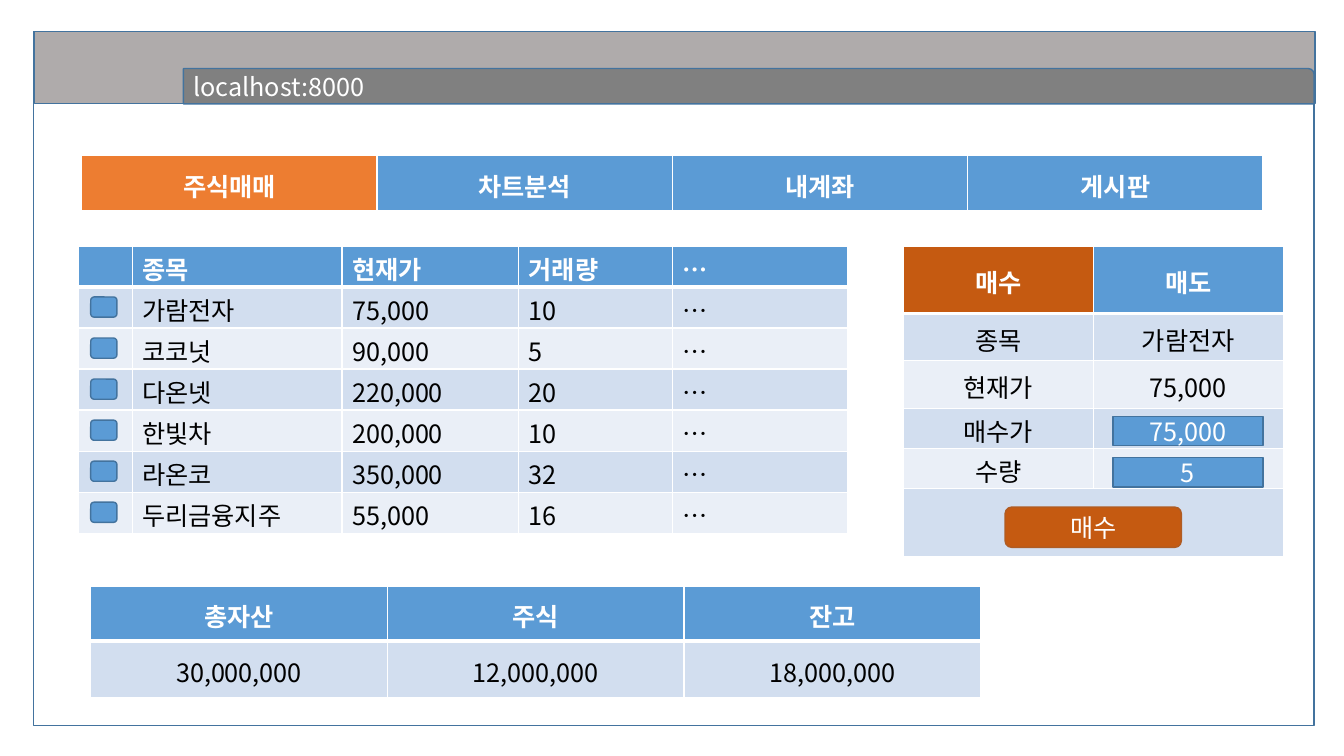
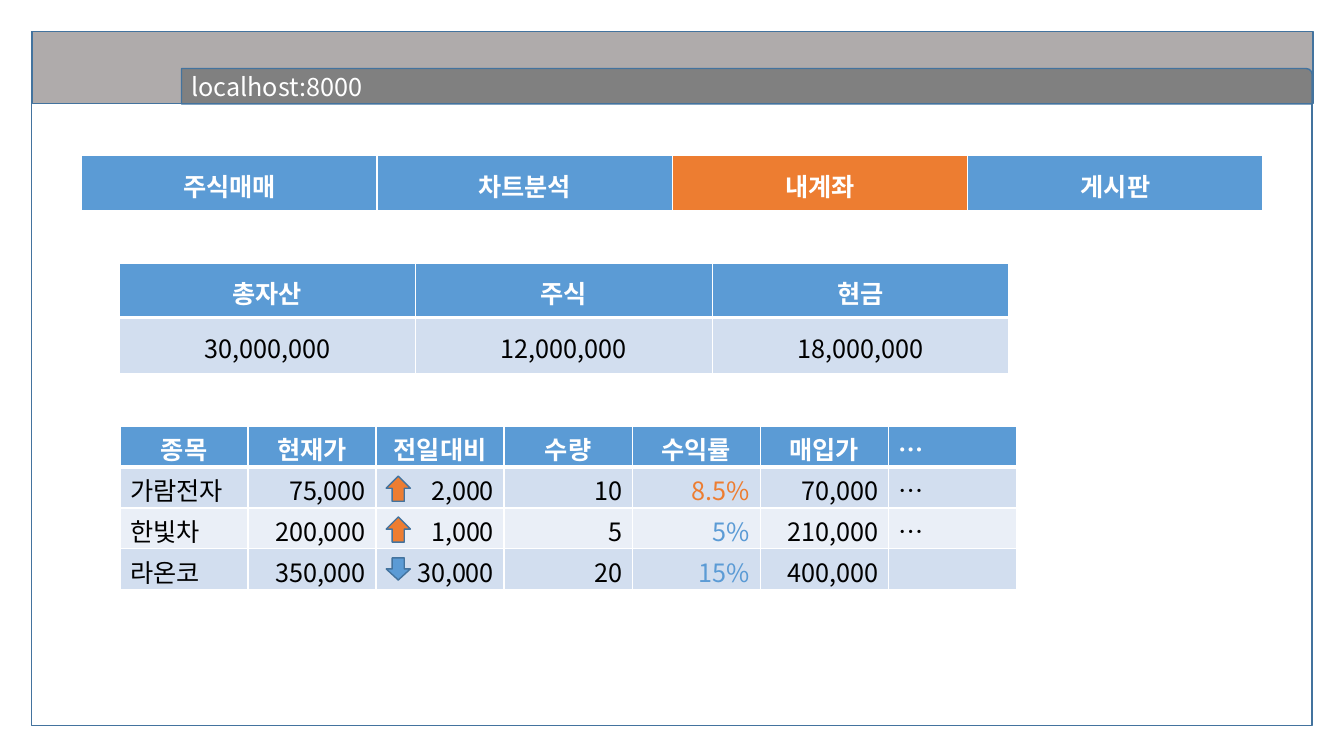
import pptx
import pptx.util
import pptx.dml.color
import pptx.enum.shapes
import pptx.enum.text
import lxml.etree
import pptx.oxml.ns

FONT = "Noto Sans CJK KR"
SIZE = 18
HUES = {
    "white": "FFFFFF", "black": "000000", "blue": "5B9BD5", "edge": "43739E",
    "orange": "ED7D31", "rust": "C55A11", "rim": "AF5C24", "bar": "AFABAB",
    "gray": "808080", "odd": "D2DEEF", "even": "EAEFF7",
}
PAGE = (0, 0, 13.33, 7.5)
KIND = pptx.enum.shapes.MSO_SHAPE
MID = pptx.enum.text.MSO_ANCHOR.MIDDLE
TOP = pptx.enum.text.MSO_ANCHOR.TOP
ALIGN = {
    "l": pptx.enum.text.PP_ALIGN.LEFT,
    "c": pptx.enum.text.PP_ALIGN.CENTER,
    "r": pptx.enum.text.PP_ALIGN.RIGHT,
}
TABS = ["주식매매", "차트분석", "내계좌", "게시판"]
STOCKS = [
    ["", "종목", "현재가", "거래량", "…"],
    ["", "가람전자", "75,000", "10", "…"],
    ["", "코코넛", "90,000", "5", "…"],
    ["", "다온넷", "220,000", "20", "…"],
    ["", "한빛차", "200,000", "10", "…"],
    ["", "라온코", "350,000", "32", "…"],
    ["", "두리금융지주", "55,000", "16", "…"],
]
ORDER = [
    ["매수", "매도"],
    ["종목", "가람전자"],
    ["현재가", "75,000"],
    ["매수가", ""],
    ["수량", ""],
    ["", ""],
]
FUNDS = ["30,000,000", "12,000,000", "18,000,000"]
HOLDINGS = [
    ["종목", "현재가", "전일대비", "수량", "수익률", "매입가", "…"],
    ["가람전자", "75,000", "2,000", "10", "8.5%", "70,000", "…"],
    ["한빛차", "200,000", "1,000", "5", "5%", "210,000", "…"],
    ["라온코", "350,000", "30,000", "20", "15%", "400,000", ""],
]


def rgb(name):
    """Return the named colour."""
    return pptx.dml.color.RGBColor.from_string(HUES[name])


def part(box, x, y, w, h):
    """Return the part of a box given in percent of its size."""
    left, top, wide, high = box
    return (left + wide * x / 100, top + high * y / 100,
            wide * w / 100, high * h / 100)


def inches(box):
    """Return a box as lengths."""
    return [pptx.util.Inches(v) for v in box]


def write(frame, text, hue, align="l", bold=False):
    """Set one styled line of text."""
    para = frame.paragraphs[0]
    para.text = text
    para.alignment = ALIGN[align]
    for run in para.runs:
        run.font.name = FONT
        run.font.size = pptx.util.Pt(SIZE)
        run.font.bold = bold
        run.font.color.rgb = rgb(hue)
        face = lxml.etree.SubElement(run.font._element, pptx.oxml.ns.qn("a:ea"))
        face.set("typeface", FONT)


def shape(shapes, kind, box, fill, line="edge", text=""):
    """Draw a filled and outlined shape with an optional label."""
    item = shapes.add_shape(kind, *inches(box))
    item.shadow.inherit = False
    item.fill.solid()
    item.fill.fore_color.rgb = rgb(fill)
    item.line.color.rgb = rgb(line)
    item.line.width = pptx.util.Pt(1)
    if text:
        frame = item.text_frame
        frame.margin_top = frame.margin_bottom = 0
        frame.vertical_anchor = MID
        write(frame, text, "white", "c")
    return item


def border(cell, row):
    """Give a cell white borders, thick under the header."""
    props = cell._tc.get_or_add_tcPr()
    thick = {"lnT": row == 1, "lnB": row == 0}
    for side in ("lnL", "lnR", "lnT", "lnB"):
        width = pptx.util.Pt(3 if thick.get(side) else 1)
        line = lxml.etree.SubElement(props, pptx.oxml.ns.qn("a:" + side), w=str(width))
        fill = lxml.etree.SubElement(line, pptx.oxml.ns.qn("a:solidFill"))
        lxml.etree.SubElement(fill, pptx.oxml.ns.qn("a:srgbClr"), val=HUES["white"])


def grid(slide, box, data, cols=None, rows=None, head="c", body="c",
         anchor=MID, fills=None, inks=None):
    """Draw a banded table whose columns and rows share the box by weight."""
    cols = cols or [1] * len(data[0])
    rows = rows or [1] * len(data)
    head, body = (a * len(cols) if len(a) == 1 else a for a in (head, body))
    fills, inks = fills or {}, inks or {}
    table = slide.shapes.add_table(len(rows), len(cols), *inches(box)).table
    table.first_row = table.horz_banding = False
    for col, share in zip(table.columns, cols):
        col.width = pptx.util.Inches(box[2] * share / sum(cols))
    for row, share in zip(table.rows, rows):
        row.height = pptx.util.Inches(box[3] * share / sum(rows))
    for r, line in enumerate(data):
        band = "blue" if r == 0 else "odd" if r % 2 else "even"
        for c, text in enumerate(line):
            cell = table.cell(r, c)
            border(cell, r)
            cell.fill.solid()
            cell.fill.fore_color.rgb = rgb(fills.get((r, c), band))
            cell.margin_top = pptx.util.Inches(0.04)
            cell.margin_bottom = 0
            cell.vertical_anchor = anchor
            ink = inks.get((r, c), "black" if r else "white")
            write(cell.text_frame, text, ink, (body if r else head)[c], r == 0)
    return table


def browser(slide, box):
    """Draw the browser window with its address bar."""
    shapes = slide.shapes.add_group_shape().shapes
    shape(shapes, KIND.RECTANGLE, box, "white")
    shape(shapes, KIND.RECTANGLE, part(box, 0.08, 0, 100, 10.45), "bar")
    shape(shapes, KIND.ROUND_1_RECTANGLE, part(box, 11.72, 5.37, 88.28, 5.08), "gray")
    label = shapes.add_textbox(*inches(part(box, 11.72, 5.1, 15.1, 5.8)))
    label.text_frame.word_wrap = False
    write(label.text_frame, "localhost:8000/", "white")


def menu(slide, box, active):
    """Draw the menu with the active tab marked."""
    grid(slide, box, [TABS], fills={(0, active): "orange"})


def stocks(slide, box):
    """Draw the stock list with a check box in each row."""
    grid(slide, box, STOCKS, cols=[53, 208, 175, 152, 174],
         head="l", body="l", anchor=TOP)
    shapes = slide.shapes.add_group_shape().shapes
    step = 100 / len(STOCKS)
    for i in range(1, len(STOCKS)):
        shape(shapes, KIND.ROUNDED_RECTANGLE,
              part(box, 1.57, step * i + 3.5, 3.41, 7.02), "blue")


def order(slide, box):
    """Draw the order form with its fields and button."""
    table = grid(slide, box, ORDER, rows=[67, 47, 47, 40, 40, 67],
                 fills={(0, 0): "rust"})
    table.cell(5, 0).merge(table.cell(5, 1))
    shape(slide.shapes, KIND.ROUNDED_RECTANGLE,
          part(box, 26.8, 84.1, 46.4, 13), "rust", "rim", "매수")
    for y, text in ((54.87, "75,000"), (68.18, "5")):
        shape(slide.shapes, KIND.RECTANGLE,
              part(box, 55.17, y, 39.5, 9.42), "blue", text=text)


def assets(slide, box, last):
    """Draw the asset summary."""
    grid(slide, box, [["총자산", "주식", last], FUNDS], rows=[54, 56])


def holdings(slide, box):
    """Draw the holdings with an arrow for each daily change."""
    grid(slide, box, HOLDINGS, head="ccccccl", body="lrrrrrl", anchor=TOP,
         inks={(1, 4): "orange", (2, 4): "blue", (3, 4): "blue"})
    up = (KIND.UP_ARROW, "orange", 15.4)
    down = (KIND.DOWN_ARROW, "blue", 13.6)
    step = 100 / len(HOLDINGS)
    for i, (kind, fill, high) in enumerate((up, up, down), 1):
        shape(slide.shapes, kind, part(box, 29.7, step * i + 5.5, 2.7, high), fill)


def screen(deck, left, active):
    """Add a slide with the browser window and menu."""
    slide = deck.slides.add_slide(deck.slide_layouts[6])
    browser(slide, part(PAGE, left, 4.13, 95.3, 91.87))
    menu(slide, part(PAGE, 6.08, 20.53, 87.9, 7.47), active)
    return slide


def trade(deck):
    """Build the trading slide."""
    slide = screen(deck, 2.48, 0)
    stocks(slide, part(PAGE, 5.85, 32.53, 57.23, 38))
    order(slide, part(PAGE, 67.2, 32.53, 28.28, 41.07))
    assets(slide, part(PAGE, 6.75, 77.6, 66.23, 14.67), "잔고")


def account(deck):
    """Build the account slide."""
    slide = screen(deck, 2.33, 2)
    assets(slide, part(PAGE, 8.85, 34.8, 66.23, 14.67), "현금")
    holdings(slide, part(PAGE, 8.93, 56.4, 66.68, 21.6))


def main():
    """Build and save the deck."""
    deck = pptx.Presentation()
    deck.slide_width, deck.slide_height = inches(PAGE[2:])
    trade(deck)
    account(deck)
    deck.save("out.pptx")


if __name__ == "__main__":
    main()
